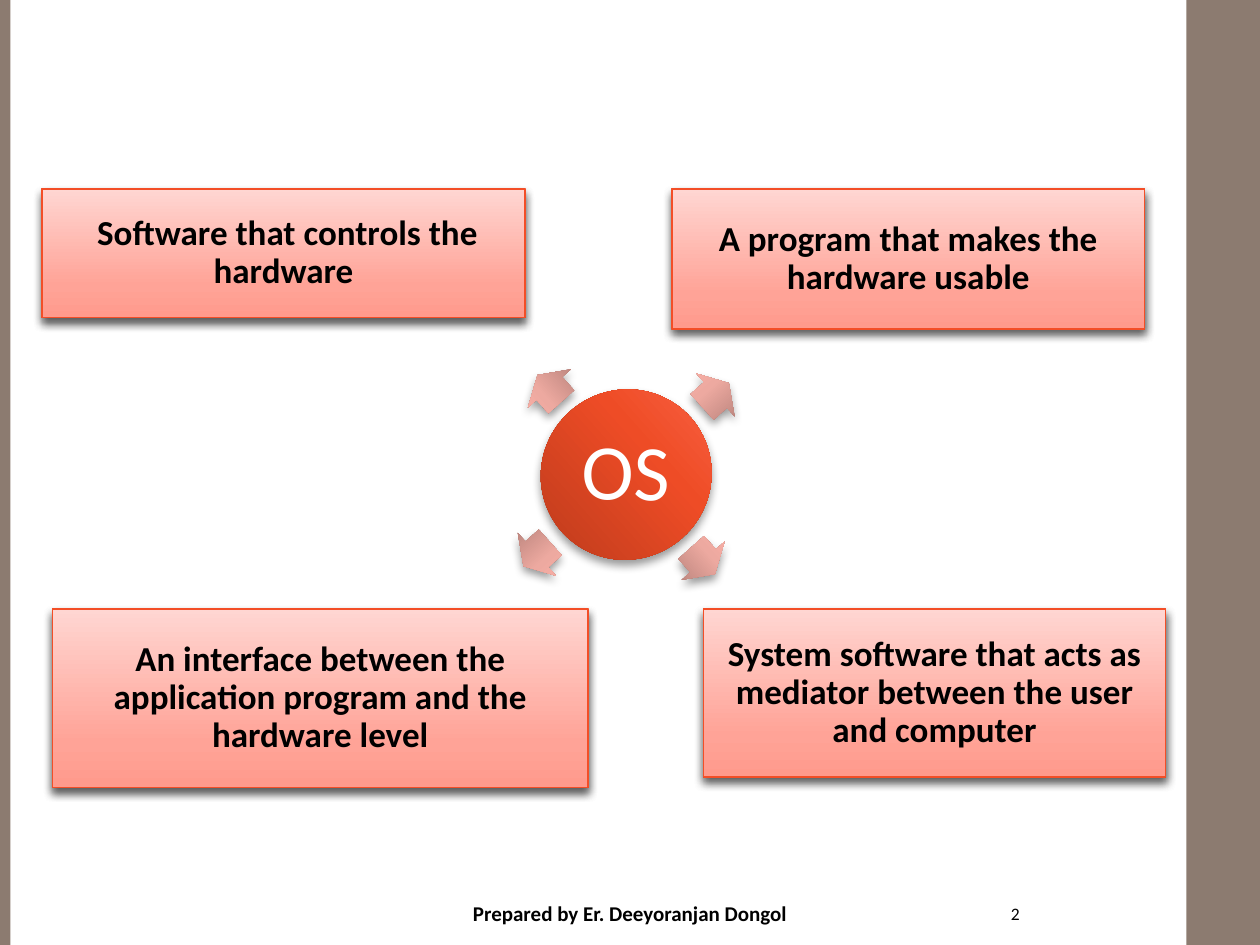
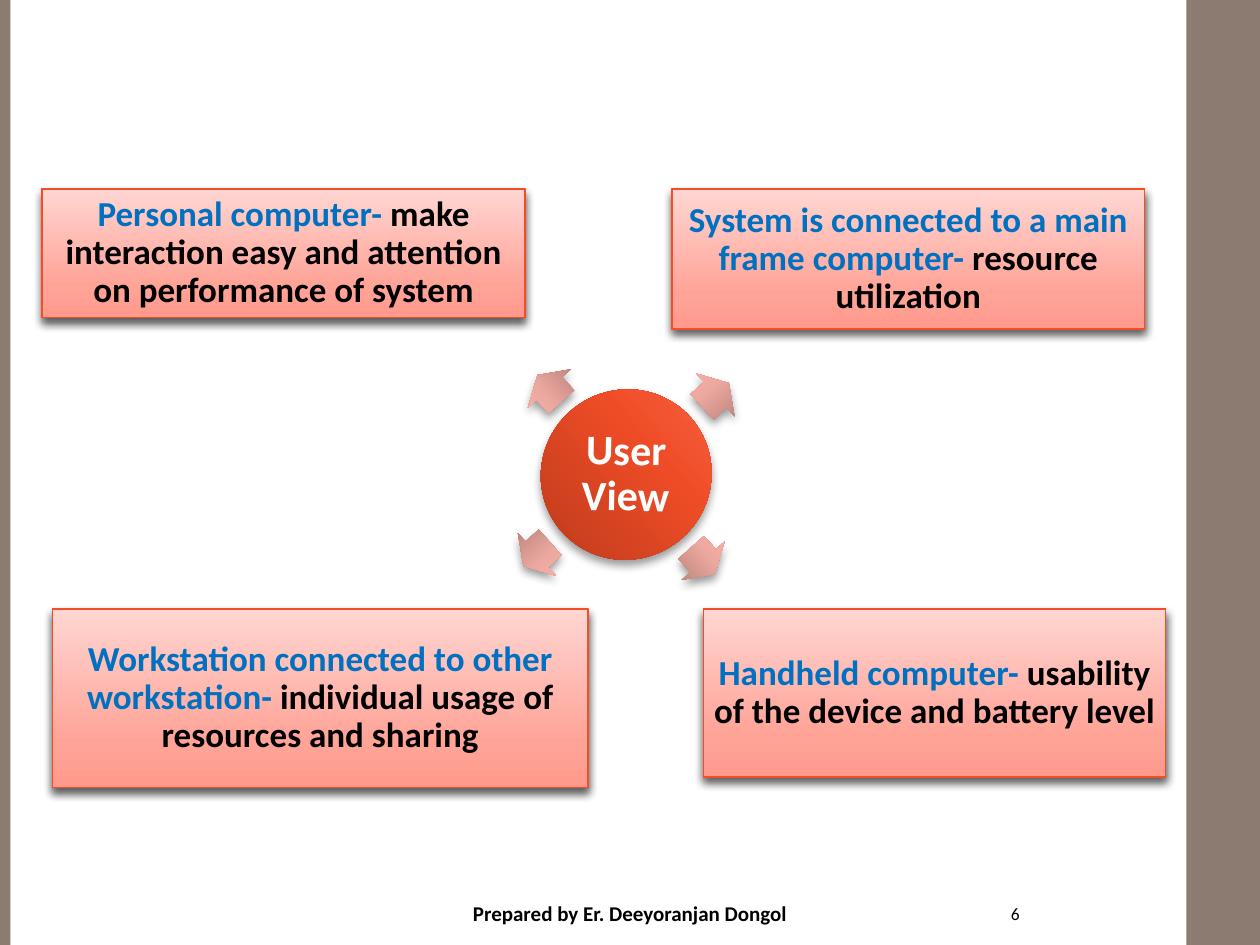
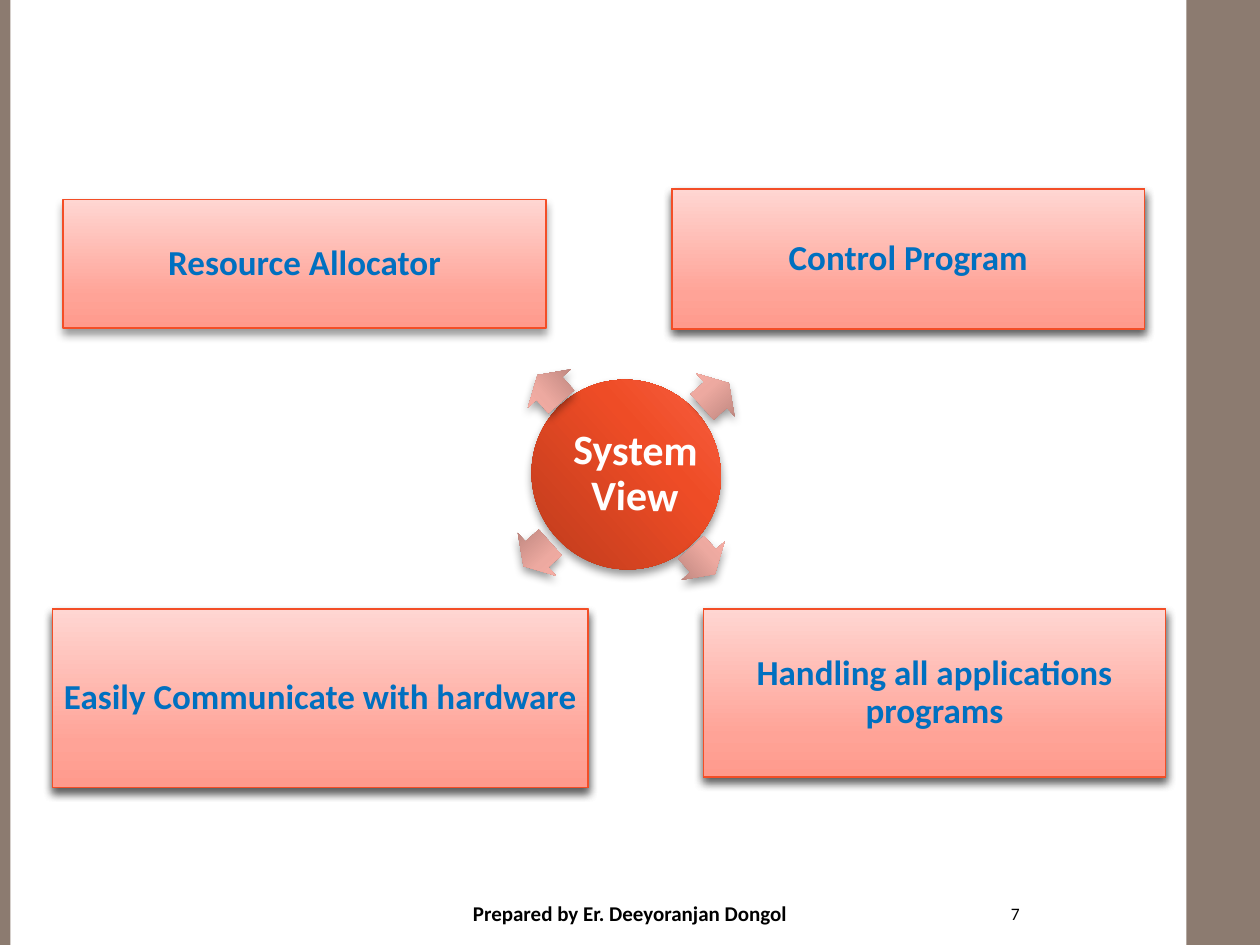
import math
from lxml import etree
from pptx import Presentation
from pptx import util as u
from pptx.dml.color import RGBColor
from pptx.enum import shapes, text
from pptx.oxml import ns

FONT = "Calibri"
BLACK, WHITE, BLUE = "000000", "FFFFFF", "0070C0"
BAND, EDGE = "8C7B70", "F34E27"
CARD_STOPS = [(0, "FF9A8C"), (25, "FFA397"), (100, "FFD6D2")]
HUB_STOPS = [(0, "AE3619"), (60, "EE4C26"), (100, "FF6A51")]
ARROW_STOPS = [(0, "AC7A73"), (60, "EDA9A0"), (100, "FFB1A7")]

deck = Presentation()
deck.slide_width, deck.slide_height = u.Inches(10), u.Inches(7.5)
cell = deck.slide_width / 120


def paint(shape, stops):
    shape.fill.gradient()
    shape.fill.gradient_angle = 90
    stop_list = shape.element.spPr.find(".//" + ns.qn("a:gsLst"))
    for stop in list(stop_list):
        stop_list.remove(stop)
    for share, color in stops:
        stop = etree.SubElement(stop_list, ns.qn("a:gs"), pos=str(share * 1000))
        etree.SubElement(stop, ns.qn("a:srgbClr"), val=color)
    shape.line.fill.background()
    shape.shadow.inherit = False
    effects = shape.element.spPr.find(ns.qn("a:effectLst"))
    shadow = etree.SubElement(effects, ns.qn("a:outerShdw"), blurRad=str(u.Pt(5.2)),
                              dist=str(u.Pt(3)), dir="5400000", rotWithShape="0")
    tint = etree.SubElement(shadow, ns.qn("a:srgbClr"), val=BLACK)
    etree.SubElement(tint, ns.qn("a:alpha"), val="40000")


def write(shape, spans, size, bold=True, align="CENTER", inset=0.1, spacing=1.0):
    box = shape.text_frame
    box.word_wrap = True
    box.vertical_anchor = text.MSO_ANCHOR.MIDDLE
    box.margin_left = box.margin_right = u.Inches(inset)
    box.margin_top = box.margin_bottom = u.Inches(min(inset, 0.08))
    para = box.paragraphs[0]
    para.alignment = text.PP_ALIGN[align]
    para.line_spacing = spacing
    for words, color in spans:
        span = para.add_run()
        span.text = words
        span.font.name, span.font.size, span.font.bold = FONT, u.Pt(size), bold
        span.font.color.rgb = RGBColor.from_string(color)


bands = [(113, 7), (0, 1)]
top_left = (4, 18, 46, 12.25)
other_cards = [(64, 18, 45, 13.33), (58 - 53, 58, 51, 17), (67, 58, 44, 16)]
hub_x, hub_y = 59.64, 45.2
tilt = 318.3
small_hub = (16.1, 16.4, 59.6, 11.6, 11.3)
large_hub = (18.2, 17.9, 60.5, 14.4, 13)

slides = [
    ("2", "OS", 45, False, small_hub, top_left, 2, [
        [(" Software that controls the hardware", BLACK)],
        [("A program that makes the hardware usable", BLACK)],
        [("An interface between the application program and the hardware level", BLACK)],
        [("System software that acts as mediator between the user and computer", BLACK)]]),
    ("6", "User View", 24, True, small_hub, top_left, 2, [
        [("Personal computer- ", BLUE),
         ("make interaction easy and attention on performance of system", BLACK)],
        [("System is connected to a main frame computer- ", BLUE),
         ("resource utilization", BLACK)],
        [("Workstation connected to other workstation- ", BLUE),
         ("individual usage of resources and sharing", BLACK)],
        [("Handheld computer- ", BLUE),
         ("usability of the device and battery level", BLACK)]]),
    ("7", "System View", 24, True, large_hub, (6, 19, 46, 12.25), 1, [
        [("Resource Allocator", BLUE)],
        [("Control Program", BLUE)],
        [("Easily Communicate with hardware", BLUE)],
        [("Handling all applications programs", BLUE)]]),
]

for number, topic, topic_size, topic_bold, hub_grid, first_card, first_layers, cards in slides:
    page = deck.slides.add_slide(deck.slide_layouts[6])

    for left, width in bands:
        band = page.shapes.add_shape(shapes.MSO_SHAPE.RECTANGLE, int(left * cell), 0,
                                     int(width * cell), deck.slide_height)
        band.fill.solid()
        band.fill.fore_color.rgb = RGBColor.from_string(BAND)
        band.line.fill.background()
        band.shadow.inherit = False

    page_number = page.shapes.add_textbox(*[int(n * cell) for n in (85.3, 85, 13, 4)])
    write(page_number, [(number, BLACK)], 10, bold=False, align="RIGHT")

    for index, (place, spans) in enumerate(zip([first_card] + other_cards, cards)):
        for layer in range(first_layers if index == 0 else 2):
            card = page.shapes.add_shape(shapes.MSO_SHAPE.RECTANGLE,
                                         *[int(n * cell) for n in place])
            paint(card, CARD_STOPS)
            card.line.color.rgb = RGBColor.from_string(EDGE)
            card.line.width = u.Pt(0.75)
        write(card, spans, 20, inset=0.08, spacing=0.9)

    width, height, label_x, label_width, label_height = hub_grid
    hub = page.shapes.add_shape(
        shapes.MSO_SHAPE.OVAL, int((hub_x - width / 2) * cell),
        int((hub_y - height / 2) * cell), int(width * cell), int(height * cell))
    hub.rotation = tilt + 90 - 360
    paint(hub, HUB_STOPS)
    label = page.shapes.add_textbox(
        int((label_x - label_width / 2) * cell), int((hub_y - label_height / 2) * cell),
        int(label_width * cell), int(label_height * cell))
    label.rotation = 1
    write(label, [(topic, WHITE)], topic_size, topic_bold, inset=0.06, spacing=0.9)

    for turn in range(4):
        angle = (tilt + 90 * turn) % 360
        reach = 11 if turn % 2 else 11.4
        middle_x = hub_x + reach * math.cos(math.radians(angle))
        middle_y = hub_y + reach * math.sin(math.radians(angle))
        arrow = page.shapes.add_shape(
            shapes.MSO_SHAPE.RIGHT_ARROW, int((middle_x - 1.7) * cell),
            int((middle_y - 2.73) * cell), int(3.4 * cell), int(5.46 * cell))
        arrow.rotation = angle
        arrow.adjustments[0], arrow.adjustments[1] = 0.6, 0.5
        paint(arrow, ARROW_STOPS)

    footer = page.shapes.add_textbox(*[int(n * cell) for n in (35.5, 85, 49, 4)])
    write(footer, [("Prepared by Er. Deeyoranjan Dongol", BLACK)], 12)

deck.save("out.pptx")
